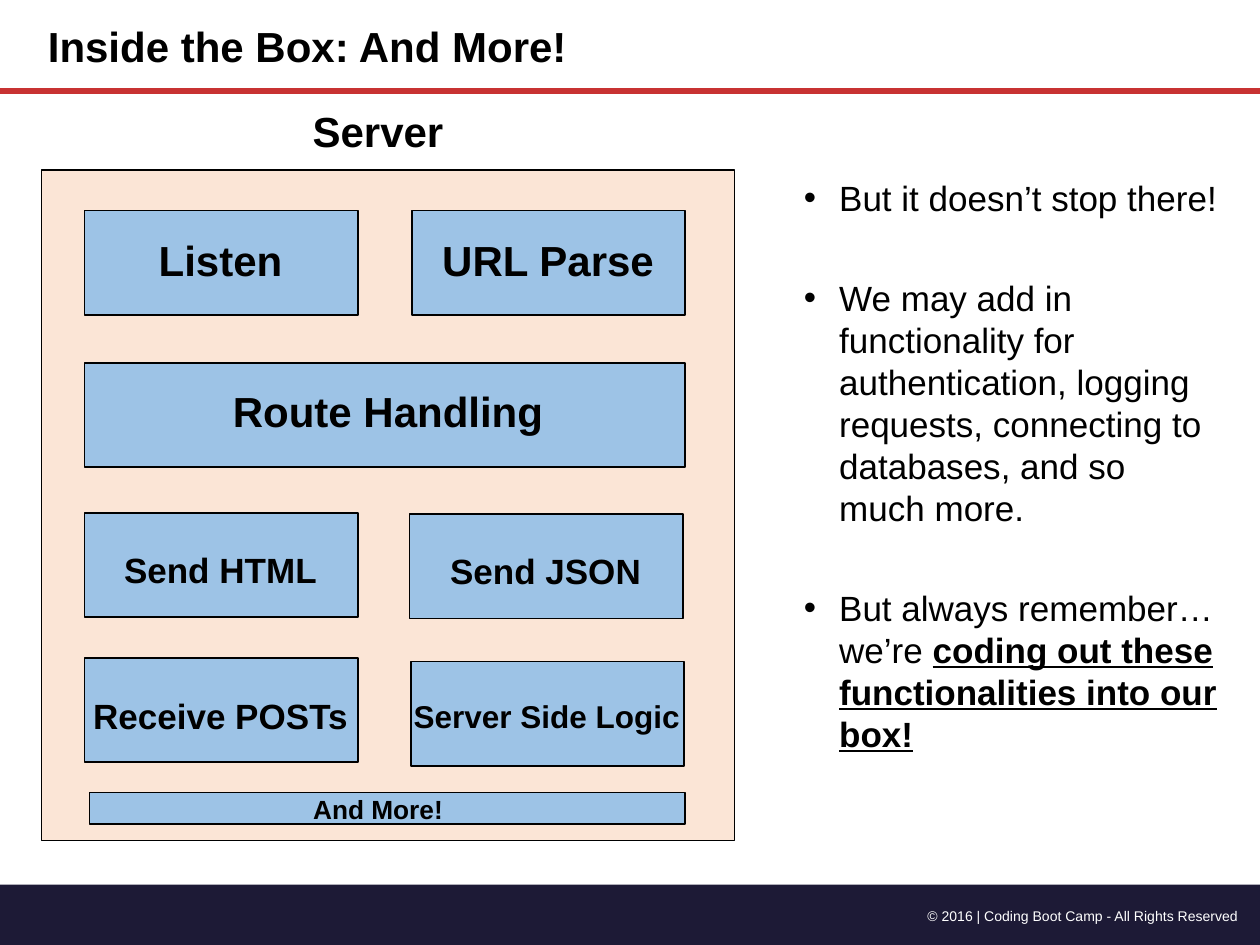
from pptx import Presentation
from pptx.dml.color import RGBColor
from pptx.enum.shapes import MSO_CONNECTOR, MSO_SHAPE
from pptx.enum.text import MSO_ANCHOR, MSO_AUTO_SIZE, PP_ALIGN
from pptx.oxml.ns import qn
from pptx.util import Inches, Pt
from lxml.etree import SubElement

BLACK, WHITE, NAVY, RED = "000000", "FFFFFF", "1D1A36", "C83232"
PEACH, BLUE = "FBE5D6", "9DC3E6"
WIDE, TALL = 2.17, 0.83
LABEL = 3.73

# text, size, tile (left, top, width, height), label (middle, top, width)
TILES = [
    ("Listen", 24, (0.67, 1.67, WIDE, TALL), (1.75, 1.81, LABEL)),
    ("URL Parse", 24, (3.27, 1.67, WIDE, TALL), (4.35, 1.81, LABEL)),
    ("Route Handling", 24, (0.67, 2.88, 4.77, TALL), (3.08, 3.01, LABEL)),
    ("Send HTML", 20, (0.67, 4.07, WIDE, TALL), (1.75, 4.3, LABEL)),
    ("Send JSON", 20, (3.25, 4.08, WIDE, TALL), (4.33, 4.31, LABEL)),
    ("Receive POSTs", 20, (0.67, 5.22, WIDE, TALL), (1.75, 5.46, LABEL)),
    ("Server Side Logic", 18, (3.26, 5.25, WIDE, TALL), (4.34, 5.48, LABEL)),
    ("And More!", 15, (0.71, 6.29, 4.73, 0.25), (3, 6.25, 8.15)),
]
HEIGHTS = {24: 0.48, 20: 0.41, 18: 0.38, 15: 0.33}

POINTS = [
    [("But it doesn’t stop there!", {})],
    [("We may add in functionality for authentication, logging requests, "
      "connecting to databases, and so much more.", {})],
    [("But always remember… we’re ", {}),
     ("coding out these functionalities into our box!",
      {"bold": True, "underline": True})],
]


def paint(target, color):
    target.rgb = RGBColor.from_string(color)


def style(font, size, color=BLACK, **extra):
    values = {"name": "Arial", "size": Pt(size), "bold": False, **extra}
    for key, value in values.items():
        setattr(font, key, value)
    paint(font.color, color)


def place(shape, box):
    for key, value in zip(("left", "top", "width", "height"), box):
        setattr(shape, key, Inches(value))


def frame(shape):
    """Give the text frame its margins, top anchor and wrapping."""
    text = shape.text_frame
    values = {"word_wrap": True, "auto_size": MSO_AUTO_SIZE.NONE,
              "vertical_anchor": MSO_ANCHOR.TOP}
    for side in ("left", "right", "top", "bottom"):
        values[f"margin_{side}"] = Inches(0.05)
    for key, value in values.items():
        setattr(text, key, value)
    return text


def add_box(slide, box, fill, line=None):
    shape = slide.shapes.add_shape(MSO_SHAPE.RECTANGLE, *map(Inches, box))
    shape.shadow.inherit = False
    shape.fill.solid()
    paint(shape.fill.fore_color, fill)
    if line:
        paint(shape.line.color, line)
        shape.line.width = Pt(1)
    else:
        shape.line.fill.background()


def add_text(slide, box, text, size, color=BLACK, align=PP_ALIGN.CENTER, bold=True):
    para = frame(slide.shapes.add_textbox(*map(Inches, box))).paragraphs[0]
    para.alignment = align
    run = para.add_run()
    run.text = text
    style(run.font, size, color, bold=bold)


def add_label(slide, text, size, mid, top, width):
    """Centre a bold label on the given middle."""
    add_text(slide, (mid - width / 2, top, width, HEIGHTS[size]), text, size)


def add_rule(slide, top):
    rule = slide.shapes.add_connector(
        MSO_CONNECTOR.STRAIGHT, 0, Inches(top), Inches(10), Inches(top))
    paint(rule.line.color, RED)
    rule.line.width = Pt(3.25)
    SubElement(rule.element.spPr, qn("a:effectLst"))


def fill_title(shape, text):
    place(shape, (0.33, 0.11, 5.75, 0.48))
    para = frame(shape).paragraphs[0]
    para.alignment = PP_ALIGN.LEFT
    run = para.add_run()
    run.text = text
    style(run.font, 24, bold=True)


def fill_body(shape, points):
    place(shape, (6.33, 1.35, 3.41, 4.54))
    text = frame(shape)
    for index, parts in enumerate(points):
        para = text.add_paragraph() if index else text.paragraphs[0]
        props = para._p.get_or_add_pPr()
        props.set("marL", str(Inches(0.28)))
        props.set("indent", str(Inches(-0.28)))
        para.line_spacing = Pt(24)
        para.space_before = Pt(33 if index else 0)
        SubElement(props, qn("a:buChar")).set("char", "•")
        for words, extra in parts:
            run = para.add_run()
            run.text = words
            style(run.font, 20, **extra)


def main():
    deck = Presentation()
    deck.slide_width, deck.slide_height = Inches(10), Inches(7.5)
    slide = deck.slides.add_slide(deck.slide_layouts[1])

    add_box(slide, (0, 7.02, 10, 0.48), NAVY)
    add_text(slide, (6.83, 7.15, 3.05, 0.22),
             "© 2016 | Coding Boot Camp - All Rights Reserved",
             8, WHITE, PP_ALIGN.RIGHT, False)
    add_rule(slide, 0.72)
    fill_title(slide.shapes.title, "Inside the Box: And More!")

    add_box(slide, (0.33, 1.35, 5.5, 5.32), PEACH, BLACK)
    add_label(slide, "Server", 24, 3, 0.79, LABEL)
    for text, size, box, spot in TILES:
        add_box(slide, box, BLUE, BLACK)
        add_label(slide, text, size, *spot)

    fill_body(slide.placeholders[1], POINTS)
    deck.save("out.pptx")


if __name__ == "__main__":
    main()
